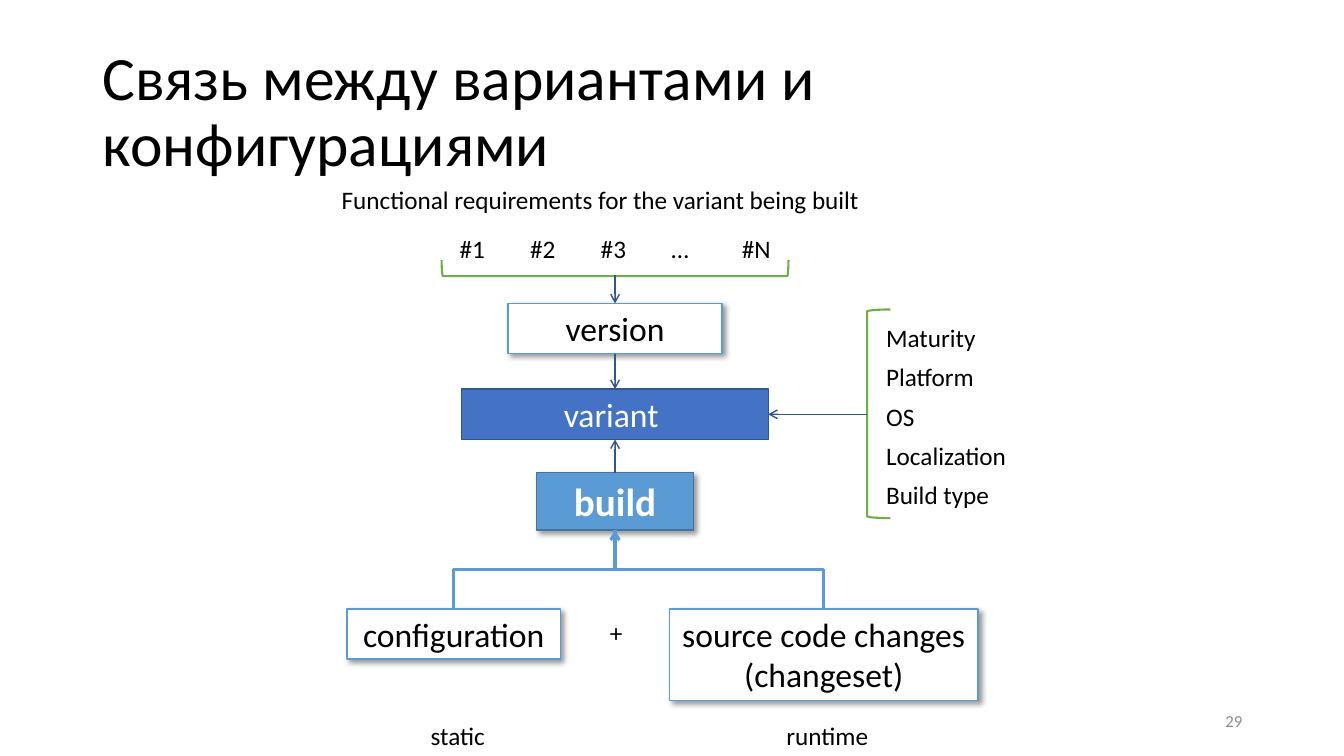
from dataclasses import dataclass

from lxml.etree import SubElement
from pptx import Presentation
from pptx.dml.color import RGBColor
from pptx.enum.shapes import MSO_CONNECTOR, MSO_SHAPE
from pptx.enum.text import MSO_ANCHOR, MSO_AUTO_SIZE, PP_ALIGN
from pptx.oxml.ns import qn
from pptx.util import Pt

EMU_PER_PX = 9144  # 100 px to the inch
TOP, LEFT, BOTTOM, RIGHT = range(4)


@dataclass(frozen=True)
class Theme:
    font: str = "Calibri"
    black: str = "000000"
    white: str = "FFFFFF"
    gray: str = "8C8C8C"
    blue: str = "5B9BD5"
    blue_edge: str = "43739E"
    indigo: str = "4472C4"
    indigo_edge: str = "325491"
    green: str = "70AD47"
    title: int = 44
    strong: int = 28
    box: int = 24
    label: int = 18
    footer: int = 12


THEME = Theme()


def px(value):
    return round(value * EMU_PER_PX)


def rgb(color):
    return RGBColor.from_string(color)


class Diagram:
    def __init__(self, slide, theme):
        self.shapes = slide.shapes
        self.theme = theme

    def fill_text(self, frame, text, *, size, color, bold=False, align=PP_ALIGN.LEFT,
                  anchor=MSO_ANCHOR.TOP, spacing=None, wrap=True, grow=True):
        frame.word_wrap = wrap
        frame.auto_size = MSO_AUTO_SIZE.SHAPE_TO_FIT_TEXT if grow else MSO_AUTO_SIZE.NONE
        frame.vertical_anchor = anchor
        paragraph = frame.paragraphs[0]
        paragraph.alignment = align
        paragraph.line_spacing = spacing
        run = paragraph.add_run()
        run.text = text
        run.font.name = self.theme.font
        run.font.size = Pt(size)
        run.font.bold = bold
        run.font.color.rgb = rgb(color)

    def text(self, text, left, top, width, height=40, **style):
        label = self.shapes.add_textbox(px(left), px(top), px(width), px(height))
        style = {"size": self.theme.label, "color": self.theme.black} | style
        self.fill_text(label.text_frame, text, **style)

    def box(self, text, left, top, width, height=50, *, fill, line, color,
            size=None, bold=False, shadow=True):
        box = self.shapes.add_shape(MSO_SHAPE.RECTANGLE, px(left), px(top), px(width), px(height))
        box.fill.solid()
        box.fill.fore_color.rgb = rgb(fill)
        self.outline(box, line, 1)
        if shadow:
            self.drop_shadow(box)
        self.fill_text(box.text_frame, text, size=size or self.theme.box, color=color,
                       bold=bold, align=PP_ALIGN.CENTER)
        return box

    def outline(self, shape, color, weight):
        shape.shadow.inherit = False
        shape.line.color.rgb = rgb(color)
        shape.line.width = Pt(weight)

    def drop_shadow(self, shape):
        effects = shape._element.spPr.find(qn("a:effectLst"))
        outer = SubElement(effects, qn("a:outerShdw"), blurRad=str(Pt(4)), dist=str(Pt(3)),
                           dir=str(45 * 60000), algn="tl", rotWithShape="0")
        tone = SubElement(outer, qn("a:srgbClr"), val=self.theme.black)
        SubElement(tone, qn("a:alpha"), val="40000")

    def bracket(self, left, top, width, height, rotation):
        bracket = self.shapes.add_shape(MSO_SHAPE.RIGHT_BRACKET, px(left), px(top),
                                        px(width), px(height))
        bracket.rotation = rotation
        bracket.fill.background()
        self.outline(bracket, self.theme.green, 1.5)

    def connector(self, kind, begin, end, color, weight, head):
        """Begin at an (x, y) point in px or a (box, side) pair; end at a (box, side) pair."""
        link = self.shapes.add_connector(kind, 0, 0, 0, 0)
        if isinstance(begin[0], int):
            link.begin_x, link.begin_y = map(px, begin)
        else:
            link.begin_connect(*begin)
        link.end_connect(*end)
        link.line.color.rgb = rgb(color)
        link.line.width = Pt(weight)
        if head:
            line = link._element.spPr.find(qn("a:ln"))
            SubElement(line, qn("a:tailEnd"), type="arrow")
        SubElement(link._element.spPr, qn("a:effectLst"))
        return link

    def arrow(self, begin, end):
        self.connector(MSO_CONNECTOR.STRAIGHT, begin, end, self.theme.indigo_edge, 1, True)

    def rising_elbow(self, source, target, head):
        """Leave the top of source and enter the bottom of target."""
        link = self.connector(MSO_CONNECTOR.ELBOW, (source, TOP), (target, BOTTOM),
                              self.theme.blue, 2.25, head)
        leftward = link.begin_x > link.end_x
        center_x = link.left + link.width // 2
        center_y = link.top + link.height // 2
        link.width, link.height = link.height, link.width
        link.left = center_x - link.width // 2
        link.top = center_y - link.height // 2
        frame = link._element.spPr.xfrm
        frame.rot, frame.flipH, frame.flipV = 270, False, leftward


def build_slide(diagram):
    theme = diagram.theme
    plain = {"fill": theme.white, "line": theme.blue, "color": theme.black}

    diagram.text("Связь между вариантами и конфигурациями", 92, 40, 1150, 145,
                 size=theme.title, anchor=MSO_ANCHOR.MIDDLE, spacing=0.9, grow=False)
    diagram.text("29", 942, 695, 300, size=theme.footer, color=theme.gray,
                 align=PP_ALIGN.RIGHT, anchor=MSO_ANCHOR.MIDDLE, grow=False)

    diagram.text("Functional requirements for the variant being built", 329, 178, 540, wrap=False)
    requirements = [("#1", 46), ("#2", 46), ("#3", 46), ("…", 38), ("#N", 49)]
    for index, (requirement, width) in enumerate(requirements):
        diagram.text(requirement, 446 + 70 * index, 227, width, wrap=False)
    diagram.bracket(602, 94, 16, 344, 90)

    version = diagram.box("version", 504, 301, 212, **plain)
    variant = diagram.box("variant ", 458, 386, 304, fill=theme.indigo,
                          line=theme.indigo_edge, color=theme.white, shadow=False)
    build = diagram.box("build", 532, 469, 156, 57, fill=theme.blue, line=theme.blue_edge,
                        color=theme.white, size=theme.strong, bold=True)
    configuration = diagram.box("configuration", 344, 604, 212, **plain)
    changes = diagram.box("source code changes (changeset)", 664, 604, 306, 91, **plain)
    diagram.text("+", 595, 608, 33, wrap=False)
    diagram.text("static", 407, 710, 94, align=PP_ALIGN.CENTER)
    diagram.text("runtime", 750, 710, 141, align=PP_ALIGN.CENTER)

    properties = [("Maturity", 110), ("Platform", 109), ("OS", 48),
                  ("Localization", 141), ("Build type", 124)]
    for index, (name, width) in enumerate(properties):
        diagram.text(name, 869, 315 + 39 * index, width, wrap=False)
    diagram.bracket(860, 307, 23, 207, 180)

    diagram.arrow((610, 273), (version, TOP))
    diagram.arrow((version, BOTTOM), (variant, TOP))
    diagram.arrow((build, TOP), (variant, BOTTOM))
    diagram.arrow((860, 411), (variant, RIGHT))
    diagram.rising_elbow(changes, build, head=False)
    diagram.rising_elbow(configuration, build, head=True)


def main():
    presentation = Presentation()
    presentation.slide_width, presentation.slide_height = px(1333), px(750)
    blank = presentation.slide_layouts[6]
    build_slide(Diagram(presentation.slides.add_slide(blank), THEME))
    presentation.save("out.pptx")


if __name__ == "__main__":
    main()
